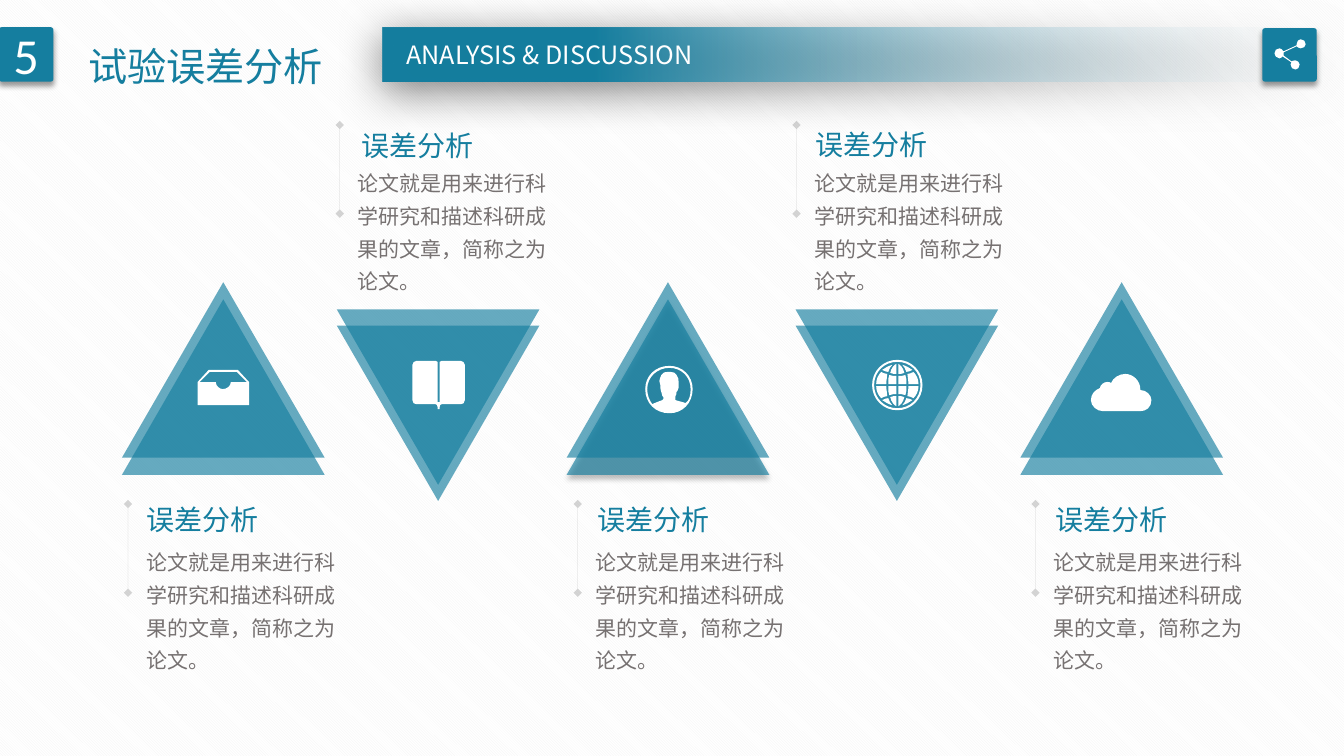
from lxml import etree
from pptx import Presentation
from pptx import util as u
from pptx.dml.color import RGBColor
from pptx.enum import dml, shapes, text
from pptx.oxml.ns import qn

PX = 9144  # one hundredth of an inch
COLORS = {"teal": "157E9F", "pale": "F7FAFD", "white": "FFFFFF", "stripe": "F2F2F2",
          "body": "767171", "rule": "808080", "shadow": "000000"}
RGB = {name: RGBColor.from_string(value) for name, value in COLORS.items()}
FONT = "Noto Sans CJK SC"
HEADING = "误差分析"
BODY = "论文就是用来进行科学研究和描述科研成果的文章，简称之为论文。"

deck = Presentation()
deck.slide_width, deck.slide_height = 1333 * PX, 750 * PX
page = deck.slides.add_slide(deck.slide_layouts[6])
backdrop = page.background.fill
backdrop.patterned()
backdrop.pattern = dml.MSO_PATTERN.DARK_DOWNWARD_DIAGONAL
backdrop.fore_color.rgb, backdrop.back_color.rgb = RGB["stripe"], RGB["white"]


def write(box, words, size, color, spacing=None, centred=False, font=FONT):
    box.text_frame.text = words
    para = box.text_frame.paragraphs[0]
    para.line_spacing = spacing
    para.alignment = text.PP_ALIGN.CENTER if centred else text.PP_ALIGN.LEFT
    span = para.runs[0]
    span.font.size, span.font.name = u.Pt(size), font
    span.font.color.rgb = RGB[color]
    etree.SubElement(span.font._element, qn("a:ea"), typeface=font)


def draw_icon(parent, contours, x=0, y=0, flip_x=1, flip_y=1):
    """Fill closed contours; pairs are corners, six numbers are a Bezier curve."""
    placed = [[[((x + flip_x * a) * PX, (y + flip_y * b) * PX) for a, b in zip(step[::2], step[1::2])]
               for step in contour] for contour in contours]
    builder = parent.shapes.build_freeform(*placed[0][0][0], scale=1.0)
    for contour in placed:
        if contour is not placed[0]:
            builder.move_to(*contour[0][0])
        builder.add_line_segments([step[-1] for step in contour[1:]], close=True)
    icon = builder.convert_to_shape()
    # Turn the straight steps that stand for curves into curves
    steps = [step for contour in placed for step in contour[1:]]
    for line, step in zip(list(icon.element.iter(qn("a:lnTo"))), steps):
        if len(step) == 3:
            line.tag = qn("a:cubicBezTo")
            for spot, (a, b) in enumerate(step[:2]):
                knot = etree.Element(qn("a:pt"), x=str(a - icon.left), y=str(b - icon.top))
                line.insert(spot, knot)
    icon.shadow.inherit = False
    icon.fill.solid()
    icon.fill.fore_color.rgb = RGB["white"]
    icon.line.fill.background()


# Columns: triangle x, points up, heading x, heading y, body x
columns = [(121, True, 135, 484, 135), (334, False, 349, 113, 345),
           (562, True, 583, 484, 581), (789, False, 799, 112, 798),
           (1012, True, 1037, 484, 1035)]

# Banner, badges and triangles: kind, box, rotation, opacity, shadow (alpha, blur, distance, angle)
SOFT = (40, 4, 3, 90)
kinds = shapes.MSO_SHAPE
panels = [(page, kinds.RECTANGLE, (380, 27, 953, 54), 0, 100, (50, 31, 6, 97)),
          (page, kinds.ROUNDED_RECTANGLE, (-1, 27, 54, 54), 0, 100, SOFT),
          (page, kinds.ROUNDED_RECTANGLE, (1252, 28, 54, 53), 0, 100, SOFT)]
for number, (left, up, *_) in enumerate(columns):
    pair = page.shapes.add_group_shape()
    for layer, top in enumerate((297, 280) if up else (307, 323)):
        shadow = SOFT if (number, layer) == (2, 0) else None
        panels.append((pair, kinds.ISOSCELES_TRIANGLE, (left, top, 201, 174),
                       0 if up else 180, 65, shadow))

drawn = []
for parent, kind, place, rotation, opacity, shadow in panels:
    panel = parent.shapes.add_shape(kind, *(PX * n for n in place))
    panel.rotation = rotation
    panel.fill.solid()
    panel.fill.fore_color.rgb = RGB["teal"]
    panel.line.fill.background()
    panel.shadow.inherit = False
    properties = panel.element.spPr
    if kind == kinds.ROUNDED_RECTANGLE:
        panel.adjustments[0] = 0.05
    if opacity < 100:
        etree.SubElement(properties.find(".//" + qn("a:srgbClr")), qn("a:alpha"), val=str(opacity * 1000))
    if shadow:
        alpha, blur, distance, angle = shadow
        outer = etree.SubElement(properties.find(qn("a:effectLst")), qn("a:outerShdw"),
                                 blurRad=str(u.Pt(blur)), dist=str(u.Pt(distance)),
                                 dir=str(angle * 60000), algn="ctr", rotWithShape="0")
        tint = etree.SubElement(outer, qn("a:srgbClr"), val=COLORS["shadow"])
        etree.SubElement(tint, qn("a:alpha"), val=str(alpha * 1000))
    drawn.append(panel)
banner, number_badge = drawn[:2]

# Banner fades out to the right
banner.fill.gradient()
banner.fill.gradient_angle = 180
for stop, color, position in zip(banner.fill.gradient_stops, ("pale", "teal"), (0, 0.78)):
    stop.color.rgb = RGB[color]
    stop.position = position
clear = banner.element.spPr.find(qn("a:gradFill")).find(".//" + qn("a:srgbClr"))
etree.SubElement(clear, qn("a:alpha"), val="0")

# Text: box, wrap, words, size, colour, spacing, centred
write(number_badge, "5", 36, "white", centred=True, font="Calibri")
number_badge.text_frame.vertical_anchor = text.MSO_ANCHOR.MIDDLE
labels = [((380, 34, 330, 40), False, "ANALYSIS & DISCUSSION", 18, "white", None, True),
          ((69, 14, 266, 73), False, " 试验误差分析", 28, "teal", 1.5, False)]
for _, up, heading_x, heading_y, body_x in columns:
    body_y = 533 if up else 157
    labels += [((heading_x, heading_y, 132, 50), False, HEADING, 20, "teal", 1.3, False),
               ((body_x, body_y, 208, 140), True, BODY, 15, "body", 1.3, False)]

    # Thin rule with a diamond at each end
    rule_x, rule_y = (body_x - 8) * PX, (body_y - 33) * PX
    rule = page.shapes.add_connector(shapes.MSO_CONNECTOR.STRAIGHT, rule_x, rule_y, rule_x, rule_y + 88 * PX)
    rule.line.width = u.Pt(0.25)
    rule.line.color.rgb = RGB["rule"]
    stroke = rule.element.spPr.find(qn("a:ln"))
    etree.SubElement(stroke.find(".//" + qn("a:srgbClr")), qn("a:alpha"), val="33000")
    for end in ("a:headEnd", "a:tailEnd"):
        etree.SubElement(stroke, qn(end), type="diamond")
    etree.SubElement(rule.element.spPr, qn("a:effectLst"))

for place, wrap, *content in labels:
    box = page.shapes.add_textbox(*(PX * n for n in place))
    write(box, *content)
    box.text_frame.word_wrap = wrap
    box.text_frame.auto_size = text.MSO_AUTO_SIZE.SHAPE_TO_FIT_TEXT

# Share icon
draw_icon(page, [[
    (1290, 39), (1288, 39, 1286, 41, 1286, 44), (1286, 45), (1273, 51),
    (1272, 49, 1270, 48, 1269, 48), (1266, 48, 1264, 50, 1264, 53),
    (1264, 55, 1266, 58, 1269, 58), (1270, 58, 1271, 57, 1272, 56), (1281, 62),
    (1280, 63, 1280, 64, 1280, 64), (1280, 67, 1282, 69, 1285, 69),
    (1287, 69, 1289, 67, 1289, 64), (1289, 62, 1287, 60, 1285, 60),
    (1283, 60, 1282, 60, 1281, 61), (1273, 55), (1273, 52), (1286, 46),
    (1287, 47, 1289, 48, 1290, 48), (1293, 48, 1295, 46, 1295, 44),
    (1295, 41, 1293, 39, 1290, 39)]])
# Tray
draw_icon(page, [
    [(236, 367), (207, 367), (196, 379), (196, 402), (247, 402), (247, 379)],
    [(208, 369), (235, 369), (245, 379), (229, 379), (229, 383, 225, 386, 221, 386),
     (218, 386, 214, 383, 214, 379), (198, 379)]])
# Book
draw_icon(page, [[
    (457, 358), (438, 358), (436, 359), (436, 399), (434, 399), (434, 359), (432, 358),
    (413, 358), (411, 358, 409, 360, 409, 362), (409, 397), (409, 400, 411, 401, 413, 401),
    (432, 401), (433, 401, 434, 402, 434, 404), (434, 406), (436, 406), (436, 404),
    (436, 402, 437, 401, 438, 401), (457, 401), (459, 401, 461, 400, 461, 397),
    (461, 362), (461, 360, 459, 358, 457, 358)]])
# Person
draw_icon(page, [
    [(664, 363), (650, 363, 640, 373, 640, 386), (640, 400, 650, 410, 664, 410),
     (677, 410, 687, 400, 687, 386), (687, 373, 677, 363, 664, 363)],
    [(680, 400), (678, 399, 673, 398, 670, 397), (670, 393), (671, 392, 671, 390, 671, 389),
     (672, 389, 672, 387, 673, 385), (673, 382), (673, 378), (673, 377, 673, 374, 671, 372),
     (670, 370, 668, 369, 665, 369), (663, 369), (659, 369, 657, 370, 656, 372),
     (655, 374, 654, 377, 654, 378), (655, 382), (655, 385), (655, 387, 656, 389, 656, 389),
     (656, 390, 657, 392, 657, 393), (658, 393, 658, 394, 658, 396), (657, 397),
     (654, 398, 649, 400, 647, 401), (644, 397, 642, 392, 642, 386),
     (642, 374, 652, 365, 664, 365), (676, 365, 685, 374, 685, 386),
     (685, 392, 684, 397, 680, 400)]])
# Globe: a ring, then one quarter of the cells mirrored both ways
globe = page.shapes.add_group_shape()
draw_icon(globe, [[(0, -r), (k, -r, r, -k, r, 0), (r, k, k, r, 0, r), (-k, r, -r, k, -r, 0),
                   (-r, -k, -k, -r, 0, -r)] for r, k in ((25, 14), (23, 13))], 890, 382)
cells = [[(8, -10), (6, -9, 3, -9, 1, -9), (1, -1), (9, -1), (9, -5, 9, -8, 8, -10)],
         [(1, -21), (1, -11), (3, -11, 5, -11, 7, -12), (6, -17, 3, -20, 1, -21)],
         [(15, -15), (12, -17, 9, -19, 5, -20), (7, -18, 8, -16, 9, -13), (11, -13, 13, -14, 15, -15)],
         [(11, -1), (21, -1), (21, -6, 19, -10, 16, -13), (14, -12, 12, -11, 10, -11),
          (10, -8, 11, -5, 11, -1)]]
for flip_x in (1, -1):
    for flip_y in (1, -1):
        for cell in cells:
            draw_icon(globe, [cell], 890, 382, flip_x, flip_y)
# Cloud
draw_icon(page, [[
    (1131, 387), (1131, 386), (1131, 378, 1124, 371, 1116, 371),
    (1110, 371, 1104, 375, 1102, 380), (1101, 379, 1100, 379, 1098, 379),
    (1095, 379, 1091, 382, 1091, 385), (1086, 387, 1082, 391, 1082, 397),
    (1082, 403, 1088, 408, 1094, 408), (1131, 408), (1137, 408, 1142, 404, 1142, 397),
    (1142, 392, 1137, 387, 1131, 387)]])

deck.save("out.pptx")
